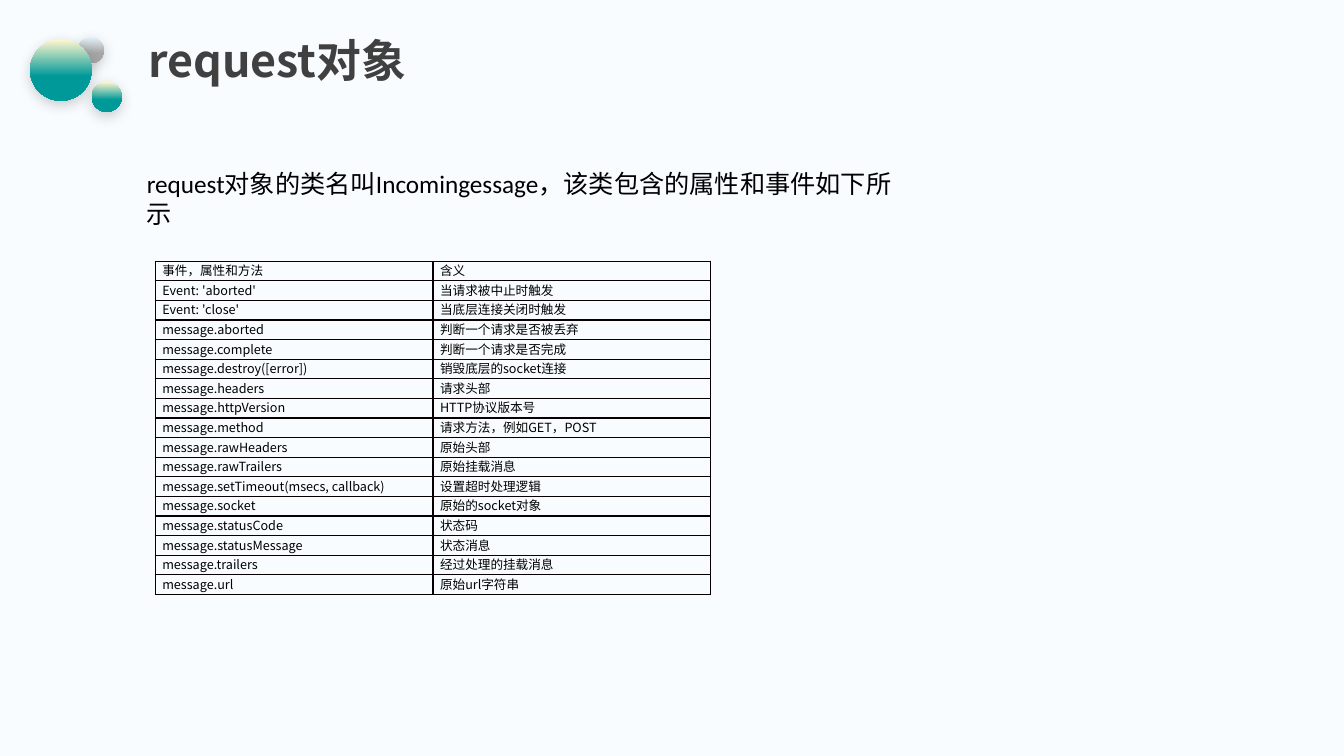
from lxml import etree
from pptx import Presentation
from pptx import util as u
from pptx.dml.color import RGBColor
from pptx.enum import shapes, text
from pptx.oxml import parse_xml
from pptx.oxml.ns import nsdecls, qn

TITLE = "request对象"
INTRO = "request对象的类名叫Incomingessage，该类包含的属性和事件如下所示"
ROWS = [
    ("事件，属性和方法", "含义"),
    ("Event: 'aborted'", "当请求被中止时触发"),
    ("Event: 'close'", "当底层连接关闭时触发"),
    ("message.aborted", "判断一个请求是否被丢弃"),
    ("message.complete", "判断一个请求是否完成"),
    ("message.destroy([error])", "销毁底层的socket连接"),
    ("message.headers", "请求头部"),
    ("message.httpVersion", "HTTP协议版本号"),
    ("message.method", "请求方法，例如GET，POST"),
    ("message.rawHeaders", "原始头部"),
    ("message.rawTrailers", "原始挂载消息"),
    ("message.setTimeout(msecs, callback)", "设置超时处理逻辑"),
    ("message.socket", "原始的socket对象"),
    ("message.statusCode", "状态码"),
    ("message.statusMessage", "状态消息"),
    ("message.trailers", "经过处理的挂载消息"),
    ("message.url", "原始url字符串"),
]
# Bubbles: left, top, diameter in cm, then top and bottom colours
BUBBLES = [
    (1.96, 0.94, 0.66, "E1F0F9", "A5A5A5"),
    (2.31, 2.06, 0.76, "FFF6CF", "009999"),
    (0.76, 0.99, 1.55, "FFF6CF", "009999"),
]
CJK = "Noto Sans CJK SC"


def rgb(value):
    return RGBColor.from_string(value)


def add_run(p, content, size, font, color, bold=False):
    r = p.add_run()
    r.text = content
    r.font.size, r.font.name, r.font.bold = u.Pt(size), font, bold
    r.font.color.rgb = rgb(color)
    etree.SubElement(r.font._element, qn("a:ea"), typeface=CJK)


def add_bubble(s, left, top, size, light, dark):
    sp = s.shapes.add_shape(shapes.MSO_SHAPE.OVAL, u.Cm(left), u.Cm(top), u.Cm(size), u.Cm(size))
    sp.line.fill.background()
    sp.fill.gradient()
    sp.fill.gradient_angle = 270
    for stop, position, color in zip(sp.fill.gradient_stops, (0.01, 0.6), (light, dark)):
        stop.position = position
        stop.color.rgb = rgb(color)
    # Soft shadow straight below
    sp._element.spPr.append(parse_xml(
        f'<a:effectLst {nsdecls("a")}><a:outerShdw blurRad="{u.Pt(10)}" dist="{u.Pt(3)}" '
        'dir="5400000" algn="t" rotWithShape="0"><a:srgbClr val="000000">'
        '<a:alpha val="20000"/></a:srgbClr></a:outerShdw></a:effectLst>'))


def add_borders(cell, color, width):
    tcPr = cell._tc.get_or_add_tcPr()
    for i, side in enumerate(("lnL", "lnR", "lnT", "lnB")):
        tcPr.insert(i, parse_xml(
            f'<a:{side} {nsdecls("a")} w="{u.Pt(width)}"><a:solidFill>'
            f'<a:srgbClr val="{color}"/></a:solidFill></a:{side}>'))


def main():
    prs = Presentation()
    prs.slide_width, prs.slide_height = u.Cm(33.87), u.Cm(19.05)
    s = prs.slides.add_slide(prs.slide_layouts[5])
    s.background.fill.solid()
    s.background.fill.fore_color.rgb = rgb("F8FCFE")

    # Corner decoration
    for bubble in BUBBLES:
        add_bubble(s, *bubble)

    # Title
    title = s.shapes.title
    title.left, title.top, title.width, title.height = u.Cm(3.48), u.Cm(0.84), u.Cm(29.2), u.Cm(1.47)
    tf = title.text_frame
    tf.auto_size = text.MSO_AUTO_SIZE.NONE
    tf.vertical_anchor = text.MSO_ANCHOR.MIDDLE
    p = tf.paragraphs[0]
    p.alignment, p.line_spacing = text.PP_ALIGN.LEFT, 0.9
    add_run(p, TITLE, 32, CJK, "404040", bold=True)

    # Properties and events
    frame = s.shapes.add_table(len(ROWS), 2, u.Cm(3.91), u.Cm(6.58), u.Cm(14), u.Cm(8.4))
    for i, row in enumerate(ROWS):
        for j, content in enumerate(row):
            cell = frame.table.cell(i, j)
            cell.margin_left = cell.margin_right = u.Cm(0.18)
            cell.margin_top = cell.margin_bottom = 0
            cell.fill.background()
            add_borders(cell, "080000", 1)
            add_run(cell.text_frame.paragraphs[0], content, 9, CJK, "000000")

    # Introduction
    intro = s.shapes.add_textbox(u.Cm(3.45), u.Cm(4.11), u.Cm(19.84), u.Cm(1.02))
    intro.text_frame.word_wrap = True
    add_run(intro.text_frame.paragraphs[0], INTRO, 18, "Calibri", "000000")

    prs.save("out.pptx")


if __name__ == "__main__":
    main()
